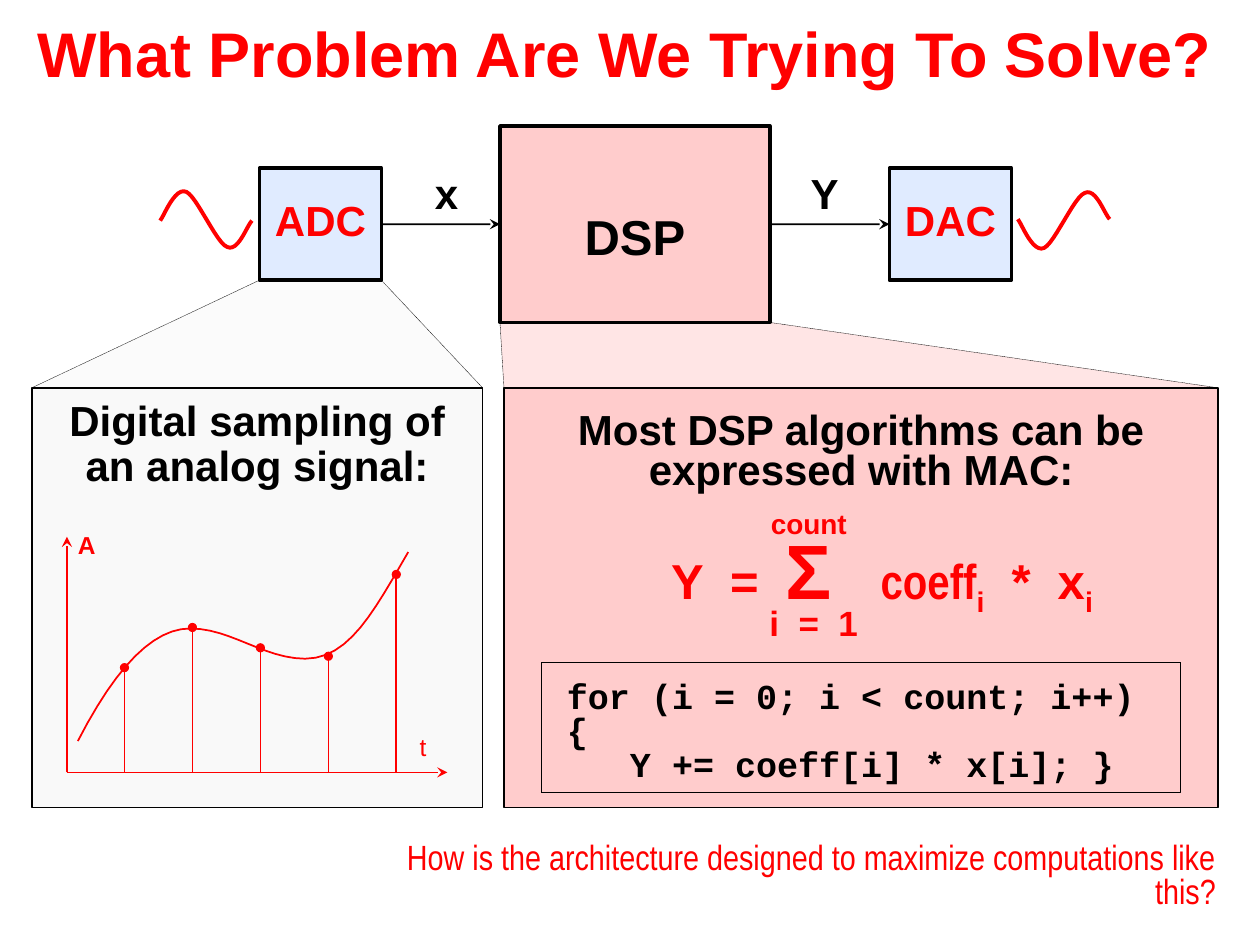
"""Build a slide on what a DSP solves: sampling a signal and running MAC sums."""
from lxml import etree
from pptx import Presentation
from pptx.dml.color import RGBColor
from pptx.enum.dml import MSO_LINE
from pptx.enum.shapes import MSO_CONNECTOR, MSO_SHAPE
from pptx.enum.text import MSO_ANCHOR, PP_ALIGN
from pptx.oxml.ns import qn
from pptx.util import Cm, Pt

RECT, OVAL, STRAIGHT = MSO_SHAPE.RECTANGLE, MSO_SHAPE.OVAL, MSO_CONNECTOR.STRAIGHT
LEFT, CENTER, RIGHT = PP_ALIGN.LEFT, PP_ALIGN.CENTER, PP_ALIGN.RIGHT
TOP, MIDDLE, BOTTOM = MSO_ANCHOR.TOP, MSO_ANCHOR.MIDDLE, MSO_ANCHOR.BOTTOM
DOTTED = MSO_LINE.ROUND_DOT

RED = RGBColor(0xFF, 0x00, 0x00)
BLACK = RGBColor(0x00, 0x00, 0x00)
GREY = RGBColor(0xF9, 0xF9, 0xF9)
PINK = RGBColor(0xFF, 0xCC, 0xCC)
BLUE = RGBColor(0xE0, 0xEB, 0xFF)

NO_INSET = (0, 0, 0, 0)
INSET = (0.25, 0.13, 0.25, 0.13)

BLOCKS = {
    "ADC": dict(at=(5.23, 3.39, 2.46, 2.26), fill=BLUE, size=24, color=RED, insets=NO_INSET),
    "DSP": dict(at=(10.08, 2.54, 5.44, 3.96), fill=PINK, size=28, color=BLACK, insets=(0, 0.7, 0, 0)),
    "DAC": dict(at=(17.93, 3.39, 2.46, 2.26), fill=BLUE, size=24, color=RED, insets=NO_INSET),
}
SIGNALS = [("ADC", "DSP"), ("DSP", "DAC")]
PANELS = [
    dict(block="ADC", text="Digital sampling of an analog signal:", at=(0.64, 7.82, 9.09, 8.46),
         fill=GREY, insets=(0.25, 0.25, 0.25, 0.25), spacing=0.9),
    dict(block="DSP", text="Most DSP algorithms can be expressed with MAC:",
         at=(10.16, 7.82, 14.4, 8.46), fill=PINK, insets=(0.51, 0.51, 0.51, 0.25), spacing=0.8),
]
LABELS = [
    ("What Problem Are We Trying To Solve?", (0, 0, 25.2, 2.11),
     dict(size=36, color=RED, align=CENTER, anchor=MIDDLE, spacing=1.0)),
    ("x", (8.51, 3.45, 0.99, 1.09), dict(size=24, align=CENTER, wrap=False)),
    ("Y", (16.08, 3.45, 1.09, 1.09), dict(size=24, align=CENTER, wrap=False)),
    ("A", (1.57, 10.8, 0.36, 0.61), dict(size=14, color=RED, insets=NO_INSET, wrap=False)),
    ("t", (8.46, 14.88, 0.13, 0.48),
     dict(size=14, color=RED, bold=False, insets=NO_INSET, wrap=False)),
    ("count", (15.11, 10.21, 2.39, 0.79), dict(size=16, color=RED, align=CENTER)),
    ("i  =  1", (14.17, 12.17, 4.47, 0.94), dict(size=20, color=RED, align=CENTER)),
    ("How is the architecture designed to maximize computations like this?",
     (6.88, 17.68, 17.63, 0.69),
     dict(size=20, color=RED, bold=False, font="Arial Narrow", align=RIGHT,
          anchor=BOTTOM, insets=NO_INSET)),
]
FORMULA_AT = (13.28, 10.74, 9.6, 1.75)
FORMULA = [("Y  =  ", 28, "Arial", False), ("Σ ", 44, "Arial", False), ("  ", 28, "Arial", False),
           ("coeff", 28, "Arial Narrow", False), ("i", 28, "Arial", True),
           ("  *  x", 28, "Arial", False), ("i", 28, "Arial", True)]
CODE = "for (i = 0; i < count; i++){\v   Y += coeff[i] * x[i]; }"
CODE_AT = (10.92, 13.36, 12.88, 2.62)

ORIGIN, AXIS_TOP, AXIS_END = (1.35, 15.57), 10.82, 9.02
SAMPLE_X, SAMPLE_STEP, DOT = 2.51, 1.37, 0.15
SAMPLE_Y = [13.46, 12.65, 13.06, 13.23, 11.58]
ANALOG = [(1.57, 14.94), (2.36, 13.41), (3.1, 12.67), (3.84, 12.67), (4.65, 12.67),
          (5.33, 13.28), (6.15, 13.28), (7.04, 13.28), (7.54, 12.32), (8.23, 11.13)]
WAVE = [(0, 0), (0.08, -0.1), (0.3, -0.69), (0.53, -0.58), (0.74, -0.48),
        (1.14, 0.46), (1.35, 0.53), (1.57, 0.64), (1.75, 0.1), (1.85, 0)]
WAVE_STARTS = [(3.23, 4.45, 1), (20.52, 4.42, -1)]


def style(shape, fill=None, line=BLACK, width=1, dash=None):
    shape.shadow.inherit = False
    if fill is None:
        shape.fill.background()
    else:
        shape.fill.solid()
        shape.fill.fore_color.rgb = fill
    shape.line.color.rgb = line
    shape.line.width = Pt(width)
    if dash:
        shape.line.dash_style = dash


def format_run(run, size, color, bold, font):
    run.font.size, run.font.bold, run.font.name = Pt(size), bold, font
    run.font.color.rgb = color


def write(shape, text, size, color=BLACK, bold=True, font="Arial", align=LEFT,
          anchor=TOP, insets=INSET, spacing=0.8, wrap=True):
    frame = shape.text_frame
    frame.word_wrap, frame.vertical_anchor = wrap, anchor
    (frame.margin_left, frame.margin_top,
     frame.margin_right, frame.margin_bottom) = map(Cm, insets)
    frame.text = text
    paragraph = frame.paragraphs[0]
    paragraph.alignment, paragraph.line_spacing = align, spacing
    paragraph.space_before = Pt(size * 0.1)
    for run in paragraph.runs:
        format_run(run, size, color, bold, font)
    return paragraph


def outline(shapes, points, close):
    corners = [(Cm(x), Cm(y)) for x, y in points]
    builder = shapes.build_freeform(*corners[0], scale=1.0)
    builder.add_line_segments(corners[1:], close=close)
    return builder.convert_to_shape()


def smooth_curve(controls, steps=12):
    points = [controls[0]]
    for start in range(0, len(controls) - 1, 3):
        segment = controls[start:start + 4]
        for step in range(1, steps + 1):
            t = step / steps
            weights = ((1 - t) ** 3, 3 * t * (1 - t) ** 2, 3 * t * t * (1 - t), t ** 3)
            points.append(tuple(sum(w * p[axis] for w, p in zip(weights, segment))
                                for axis in (0, 1)))
    return points


def connect(shapes, start, end, color, arrow=False):
    line = shapes.add_connector(STRAIGHT, *map(Cm, start + end))
    line.line.color.rgb, line.line.width = color, Pt(1)
    if arrow:
        etree.SubElement(line.line._get_or_add_ln(), qn("a:tailEnd"), type="stealth")
    etree.SubElement(line._element.spPr, qn("a:effectLst"))
    return line


def add_zoom(shapes, block, panel, fill):
    x, y, w, h = block
    left, top, width, _ = panel
    zoom = outline(shapes, [(x, y + h), (left, top), (left + width, top), (x + w, y + h)], True)
    style(zoom, fill, width=0.25, dash=DOTTED)
    color = zoom._element.spPr.find(qn("a:solidFill"))[0]
    etree.SubElement(color, qn("a:alpha"), val="50000")


def add_plot(shapes):
    style(outline(shapes, smooth_curve(ANALOG), False), line=RED)
    x0, y0 = ORIGIN
    connect(shapes, ORIGIN, (AXIS_END, y0), RED, arrow=True)
    connect(shapes, ORIGIN, (x0, AXIS_TOP), RED, arrow=True)
    for index, y in enumerate(SAMPLE_Y):
        x = SAMPLE_X + index * SAMPLE_STEP
        connect(shapes, (x, y), (x, y0), RED)
        sample = shapes.add_shape(OVAL, *map(Cm, (x - DOT / 2, y - DOT / 2, DOT, DOT)))
        style(sample, RED, RED)


def add_formula(shapes):
    formula = shapes.add_textbox(*map(Cm, FORMULA_AT))
    paragraph = write(formula, "", 44)
    for text, size, font, subscript in FORMULA:
        run = paragraph.add_run()
        run.text = text
        format_run(run, size, RED, True, font)
        if subscript:
            run._r.get_or_add_rPr().set("baseline", "-25000")


def main():
    deck = Presentation()
    deck.slide_width, deck.slide_height = Cm(25.4), Cm(19.05)
    shapes = deck.slides.add_slide(deck.slide_layouts[6]).shapes

    for panel in PANELS:
        add_zoom(shapes, BLOCKS[panel["block"]]["at"], panel["at"], panel["fill"])
        box = shapes.add_shape(RECT, *map(Cm, panel["at"]))
        style(box, panel["fill"])
        write(box, panel["text"], 24, align=CENTER, insets=panel["insets"],
              spacing=panel["spacing"])
    add_plot(shapes)
    add_formula(shapes)
    code = shapes.add_shape(RECT, *map(Cm, CODE_AT))
    style(code, width=0.25, dash=DOTTED)
    write(code, CODE, 20, font="Courier New", insets=(0.51, 0.41, 0.6, 0.51))

    drawn = {}
    for name, block in BLOCKS.items():
        drawn[name] = shapes.add_shape(RECT, *map(Cm, block["at"]))
        style(drawn[name], block["fill"], width=2)
        write(drawn[name], name, block["size"], block["color"], align=CENTER,
              anchor=MIDDLE, insets=block["insets"], wrap=False)
    for source, target in SIGNALS:
        signal = connect(shapes, (0, 0), (1, 1), BLACK, arrow=True)
        signal.begin_connect(drawn[source], 3)
        signal.end_connect(drawn[target], 1)
    for x, y, sign in WAVE_STARTS:
        controls = [(x + dx, y + sign * dy) for dx, dy in WAVE]
        style(outline(shapes, smooth_curve(controls), False), line=RED, width=2.25)
    for text, at, look in LABELS:
        write(shapes.add_textbox(*map(Cm, at)), text, **look)

    deck.save("out.pptx")


if __name__ == "__main__":
    main()
